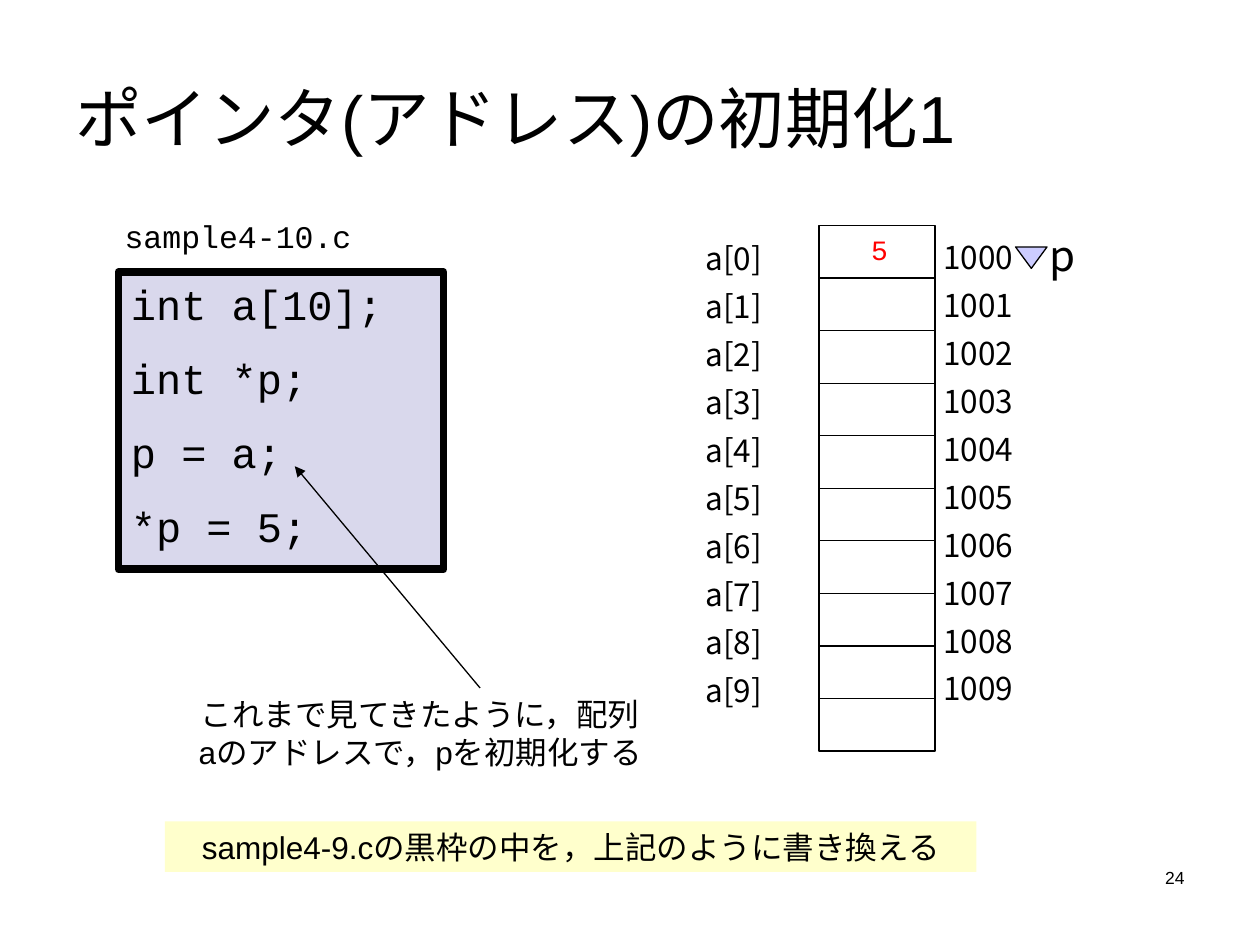
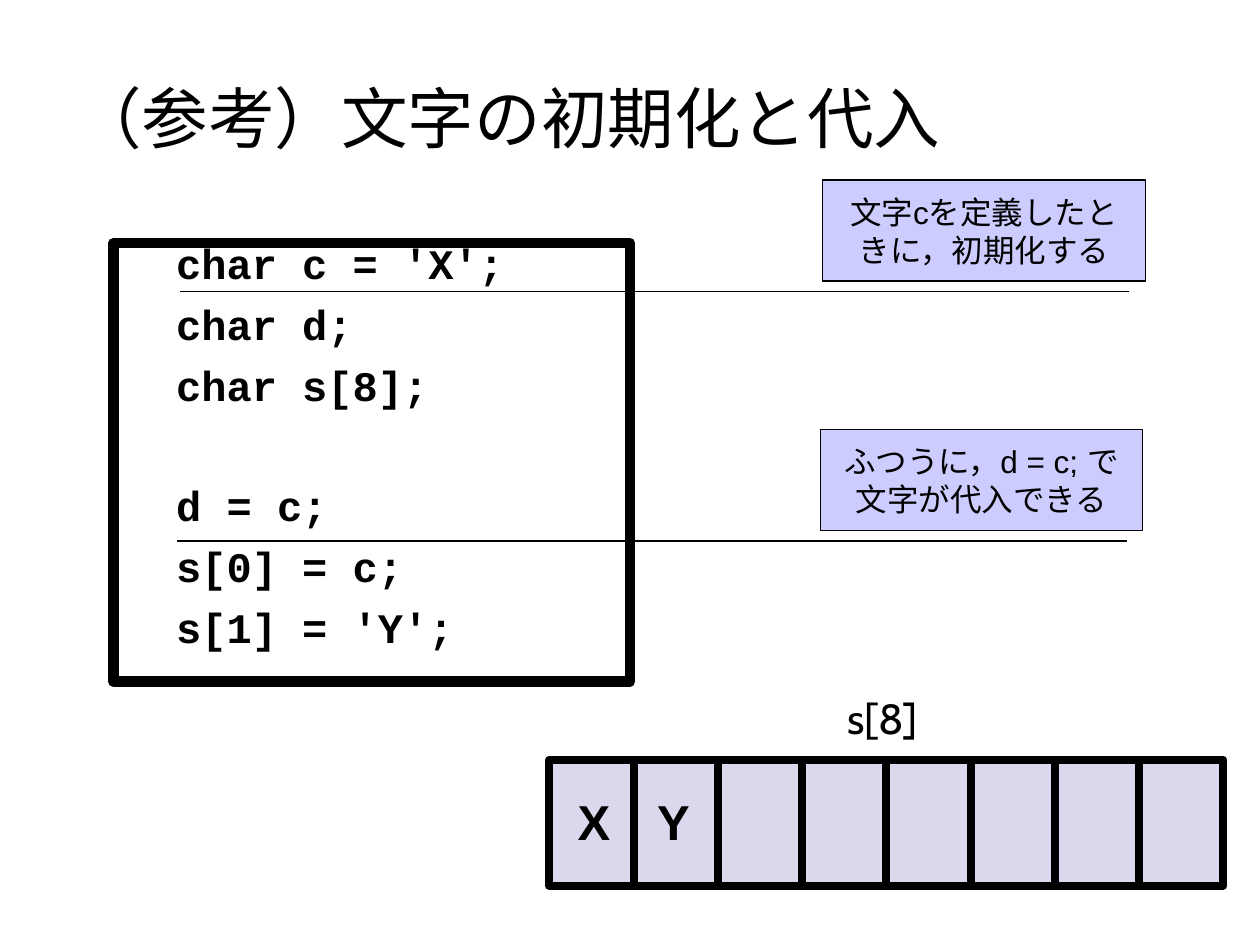
from dataclasses import dataclass

from lxml.etree import SubElement
from pptx import Presentation
from pptx.dml.color import RGBColor
from pptx.enum.shapes import MSO_CONNECTOR, MSO_SHAPE
from pptx.enum.text import MSO_ANCHOR, PP_ALIGN
from pptx.oxml.ns import qn
from pptx.util import Inches, Pt


@dataclass(frozen=True)
class Theme:
    black: str = "000000"
    red: str = "FF0000"
    lavender: str = "D9D8EC"
    periwinkle: str = "CCCCFF"
    cream: str = "FFFFCC"
    body: str = "Arial"
    code: str = "Courier New"
    label: str = "Noto Sans CJK JP"
    array: str = "Cabin"
    title_size: int = 38
    letter_size: int = 28
    code_size: int = 24
    text_size: int = 18
    value_size: int = 16
    number_size: int = 10
    thin: float = 0.75
    thick: float = 4.5
    frame: float = 6


T = Theme()
LEFT, CENTER, RIGHT = PP_ALIGN.LEFT, PP_ALIGN.CENTER, PP_ALIGN.RIGHT

# Content: boxes are left, top, width, height in inches
POINTER = {
    "title": "ポインタ(アドレス)の初期化1",
    "number": "24",
    "file": "sample4-10.c",
    "code": ["int a[10];", "int *p;", "p = a;", "*p = 5;"],
    "note": "これまで見てきたように，配列aのアドレスで，pを初期化する",
    "task": "sample4-9.cの黒枠の中を，上記のように書き換える",
    "value": "5",
    "pointer": "p",
}
CELLS, FIRST_ADDRESS = 10, 1000
MEMORY = (6.5, 1.79, 0.92, 4.17)

CHARACTERS = {
    "title": "（参考）文字の初期化と代入",
    "code": [
        ["  char c = 'X';", "  char d;", "  char s[8];"],
        ["  d = c;", "  s[0] = c;", "  s[1] = 'Y';"],
    ],
    "callouts": [
        ("文字cを定義したときに，初期化する", 6.53, 1.43),
        ("ふつうに，d = c; で文字が代入できる", 6.51, 3.41),
    ],
    "array": "s[8]",
    "letters": "XY",
}
ARRAY_CELLS = 8
ARRAY = (4.36, 6.03, 5.35, 1)
CALLOUT_LINE = (1.105, 0.951, 1.105, -1.994)


def inches(values):
    return [Inches(v) for v in values]


def write(sp, lines, size, font=T.body, color=T.black, bold=False, align=LEFT,
          anchor=MSO_ANCHOR.TOP, spacing=None, before=0, wrap=True):
    """Fill sp with paragraphs; before is a number or one gap per line."""
    tf = sp.text_frame
    tf.word_wrap = wrap
    tf.vertical_anchor = anchor
    lines = [lines] if isinstance(lines, str) else lines
    gaps = before if isinstance(before, list) else [0] + [before] * (len(lines) - 1)
    for i, (line, gap) in enumerate(zip(lines, gaps)):
        p = tf.add_paragraph() if i else tf.paragraphs[0]
        p.text = line
        p.alignment = align
        p.space_before = Pt(gap)
        if spacing:
            p.line_spacing = spacing
        p.font.size = Pt(size)
        p.font.bold = bold
        p.font.color.rgb = RGBColor.from_string(color)
        p.font.name = font
        default = p._p.pPr.find(qn("a:defRPr"))
        SubElement(default, qn("a:ea"), typeface=T.label)


def text(s, box, lines, size, **style):
    write(s.shapes.add_textbox(*inches(box)), lines, size, **style)


def shape(s, box, fill=None, line=None, kind=MSO_SHAPE.RECTANGLE):
    sp = s.shapes.add_shape(kind, *inches(box))
    sp.shadow.inherit = False
    if fill:
        sp.fill.solid()
        sp.fill.fore_color.rgb = RGBColor.from_string(fill)
    else:
        sp.fill.background()
    if line:
        sp.line.color.rgb = RGBColor.from_string(T.black)
        sp.line.width = Pt(line)
    else:
        sp.line.fill.background()
    return sp


def connect(s, start, end, arrow=False):
    c = s.shapes.add_connector(MSO_CONNECTOR.STRAIGHT, *inches(start + end))
    c.line.color.rgb = RGBColor.from_string(T.black)
    c.line.width = Pt(T.thin)
    if arrow:
        SubElement(c.line._get_or_add_ln(), qn("a:tailEnd"), type="triangle")
    SubElement(c._element.spPr, qn("a:effectLst"))


def new_slide(prs, title):
    s = prs.slides.add_slide(prs.slide_layouts[6])
    text(s, (0.5, 0.3, 9, 1.25), title, T.title_size, anchor=MSO_ANCHOR.MIDDLE)
    return s


def draw_memory(s):
    left, top, width, height = MEMORY
    shape(s, MEMORY, line=T.thin)
    for i in range(1, CELLS):
        y = top + i * height / CELLS
        connect(s, (left, y), (left + width, y))
    columns = [
        (5.5, 1.87, [f"a[{i}]" for i in range(CELLS)]),
        (7.39, 1.86, [str(FIRST_ADDRESS + i) for i in range(CELLS)]),
    ]
    for x, y, labels in columns:
        text(s, (x, y, 0.83, 4.01), labels, T.text_size, font=T.label,
             spacing=Pt(20), before=7.4)


def pointer_slide(prs):
    c = POINTER
    s = new_slide(prs, c["title"])
    text(s, (7.17, 6.83, 2.33, 0.5), c["number"], T.number_size, align=RIGHT)
    code = shape(s, (0.94, 2.16, 2.58, 2.36), T.lavender, T.thick)
    write(code, c["code"], T.code_size, font=T.code, before=13.6)
    draw_memory(s)
    marker = shape(s, (8.06, 1.96, 0.25, 0.17), T.periwinkle, T.thin,
                   MSO_SHAPE.ISOSCELES_TRIANGLE)
    marker.rotation = 180
    text(s, (8.23, 1.74, 0.67, 0.5), c["pointer"], T.code_size, font=T.label,
         spacing=Pt(31))
    connect(s, (3.81, 5.46), (2.34, 3.7), arrow=True)
    text(s, (1.46, 5.47, 3.75, 0.7), c["note"], T.text_size, align=CENTER)
    text(s, (6.81, 1.8, 0.34, 0.37), c["value"], T.value_size, font=T.code,
         color=T.red, align=CENTER, wrap=False)
    text(s, (0.89, 1.67, 2.19, 0.4), c["file"], T.text_size, font=T.code)
    task = shape(s, (1.31, 6.52, 6.44, 0.4), T.cream)
    write(task, c["task"], T.text_size, align=CENTER)


def character_slide(prs):
    c = CHARACTERS
    s = new_slide(prs, c["title"])
    declarations, assignments = c["code"]
    line_gap, block_gap = 13.3, 47
    gaps = ([0] + [line_gap] * (len(declarations) - 1)
            + [block_gap] + [line_gap] * (len(assignments) - 1))
    code = shape(s, (0.9, 1.93, 4.1, 3.48), line=T.frame)
    write(code, declarations + assignments, T.code_size, font=T.code,
          bold=True, spacing=0.75, before=gaps)

    left, top, width, height = ARRAY
    cell = width / ARRAY_CELLS
    for i in range(ARRAY_CELLS):
        shape(s, (left + i * cell, top, cell, height), T.lavender, T.thick)
    for i, letter in enumerate(c["letters"]):
        sp = shape(s, (4.48 + i * 0.63, top + 0.2, 0.47, 0.57), T.lavender)
        write(sp, letter, T.letter_size, bold=True, align=CENTER)
    text(s, (6.38, 5.45, 1.25, 0.5), c["array"], T.code_size, font=T.array,
         align=CENTER)

    for words, x, y in c["callouts"]:
        sp = shape(s, (x, y, 2.56, 0.8), T.periwinkle, T.thin,
                   MSO_SHAPE.LINE_CALLOUT_1)
        for i, value in enumerate(CALLOUT_LINE):
            sp.adjustments[i] = value
        write(sp, words, T.text_size, align=CENTER, anchor=MSO_ANCHOR.MIDDLE)


def main():
    prs = Presentation()
    prs.slide_width, prs.slide_height = inches((10, 7.5))
    pointer_slide(prs)
    character_slide(prs)
    prs.save("out.pptx")


if __name__ == "__main__":
    main()
